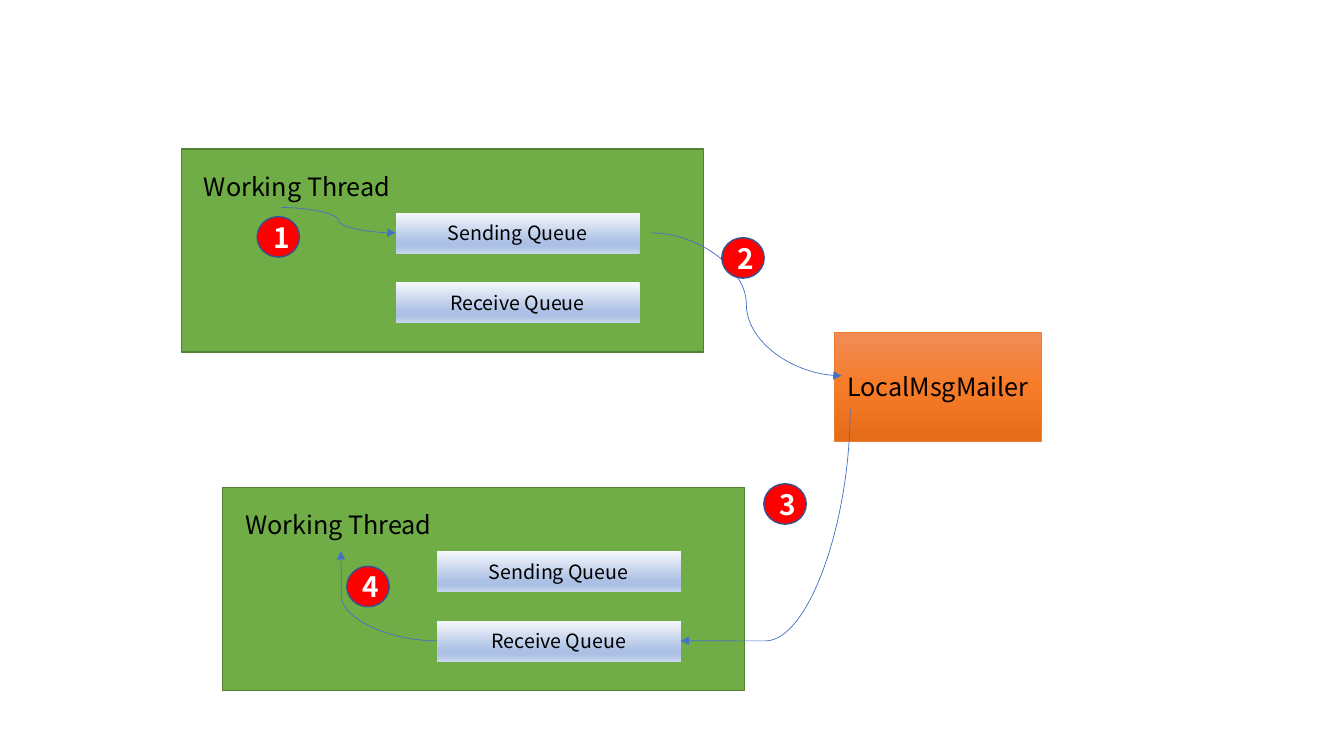
"""Build a slide showing messages passing between two working threads."""
from copy import deepcopy

from lxml.etree import SubElement
from pptx import Presentation
from pptx.dml.color import RGBColor
from pptx.enum.shapes import MSO_CONNECTOR, MSO_SHAPE
from pptx.enum.text import MSO_ANCHOR, PP_ALIGN
from pptx.oxml.ns import qn
from pptx.util import Cm, Pt

FONT = "Noto Sans CJK SC"
COLORS = {
    "text": "000000",
    "badge_text": "FFFFFF",
    "thread": "70AD47",
    "thread_edge": "538035",
    "badge": "FF0000",
    "badge_edge": "325491",
    "mailer_edge": "ED7D31",
    "arrow": "4472C4",
}
QUEUE_STOPS = [(0, "F6F8FC"), (74, "ABC0E4"), (83, "ABC0E4"), (100, "C7D5ED")]
MAILER_STOPS = [(0, "F18C57"), (50, "F67B28"), (100, "E56C19")]


def rgb(name):
    return RGBColor.from_string(COLORS[name])


def write_text(target, text, size=18, color="text", bold=False, align=PP_ALIGN.CENTER):
    frame = target.text_frame
    frame.word_wrap = True
    paragraph = frame.paragraphs[0]
    paragraph.alignment = align
    run = paragraph.add_run()
    run.text = text
    run.font.name = FONT
    run.font.size = Pt(size)
    run.font.bold = bold
    run.font.color.rgb = rgb(color)


def fill_gradient(target, stops):
    target.fill.gradient()
    target.fill.gradient_angle = 270
    stop_list = target._element.spPr.find(qn("a:gradFill")).find(qn("a:gsLst"))
    while len(stop_list) > len(stops):
        stop_list.remove(stop_list[-1])
    while len(stop_list) < len(stops):
        stop_list.append(deepcopy(stop_list[0]))
    for stop, (position, color) in zip(target.fill.gradient_stops, stops):
        stop.position = position / 100
        stop.color.rgb = RGBColor.from_string(color)


def add_block(slide, left, top, width, height, fill, edge=None, edge_width=1, kind=MSO_SHAPE.RECTANGLE):
    block = slide.shapes.add_shape(kind, Cm(left), Cm(top), Cm(width), Cm(height))
    block.shadow.inherit = False
    if isinstance(fill, list):
        fill_gradient(block, fill)
    else:
        block.fill.solid()
        block.fill.fore_color.rgb = rgb(fill)
    if edge:
        block.line.color.rgb = rgb(edge)
        block.line.width = Pt(edge_width)
    else:
        block.line.fill.background()
    block.text_frame.vertical_anchor = MSO_ANCHOR.MIDDLE
    return block


def add_thread(slide, left, top):
    add_block(slide, left, top, 13.16, 5.11, "thread", "thread_edge")
    label = slide.shapes.add_textbox(Cm(left + 0.32), Cm(top + 0.43), Cm(5.31), Cm(1.02))
    write_text(label, "Working Thread", align=PP_ALIGN.LEFT)
    for row, name in enumerate(["Sending Queue", "Receive Queue"]):
        queue = add_block(slide, left + 5.4, top + 1.6 + row * 1.75, 6.15, 1.02, QUEUE_STOPS)
        write_text(queue, name, size=14)


def add_badge(slide, number, left, top):
    badge = add_block(slide, left, top, 1.07, 1.02, "badge", "badge_edge", kind=MSO_SHAPE.OVAL)
    write_text(badge, str(number), size=20, color="badge_text", bold=True)


def add_curve(slide, start, end, bend=50, rotation=0):
    curve = slide.shapes.add_connector(MSO_CONNECTOR.CURVE, *map(Cm, start + end))
    curve.line.color.rgb = rgb("arrow")
    curve.line.width = Pt(0.5)
    properties = curve._element.spPr
    properties.find(qn("a:xfrm")).set("rot", str(rotation * 60000))
    guides = properties.find(qn("a:prstGeom")).find(qn("a:avLst"))
    SubElement(guides, qn("a:gd"), name="adj1", fmla=f"val {bend * 1000:.0f}")
    SubElement(properties.find(qn("a:ln")), qn("a:tailEnd"), type="triangle")
    SubElement(properties, qn("a:effectLst"))


def main():
    deck = Presentation()
    deck.slide_width, deck.slide_height = Cm(33.87), Cm(19.05)
    slide = deck.slides.add_slide(deck.slide_layouts[6])

    mailer = add_block(slide, 21.03, 8.38, 5.21, 2.74, MAILER_STOPS, "mailer_edge", 0.5)
    write_text(mailer, "LocalMsgMailer")
    for left, top in [(4.57, 3.76), (5.61, 12.29)]:
        add_thread(slide, left, top)

    add_curve(slide, (7.09, 5.23), (9.97, 5.87))
    add_curve(slide, (16.41, 5.87), (21.21, 9.47))
    add_curve(slide, (16.37, 11.09), (22.21, 15.36), bend=100.1, rotation=90)
    add_curve(slide, (11.01, 16.15), (8.59, 13.89), bend=99.5)

    badges = [(6.48, 5.46), (18.19, 5.99), (19.25, 12.19), (8.74, 14.27)]
    for number, (left, top) in enumerate(badges, start=1):
        add_badge(slide, number, left, top)
    deck.save("out.pptx")


if __name__ == "__main__":
    main()
